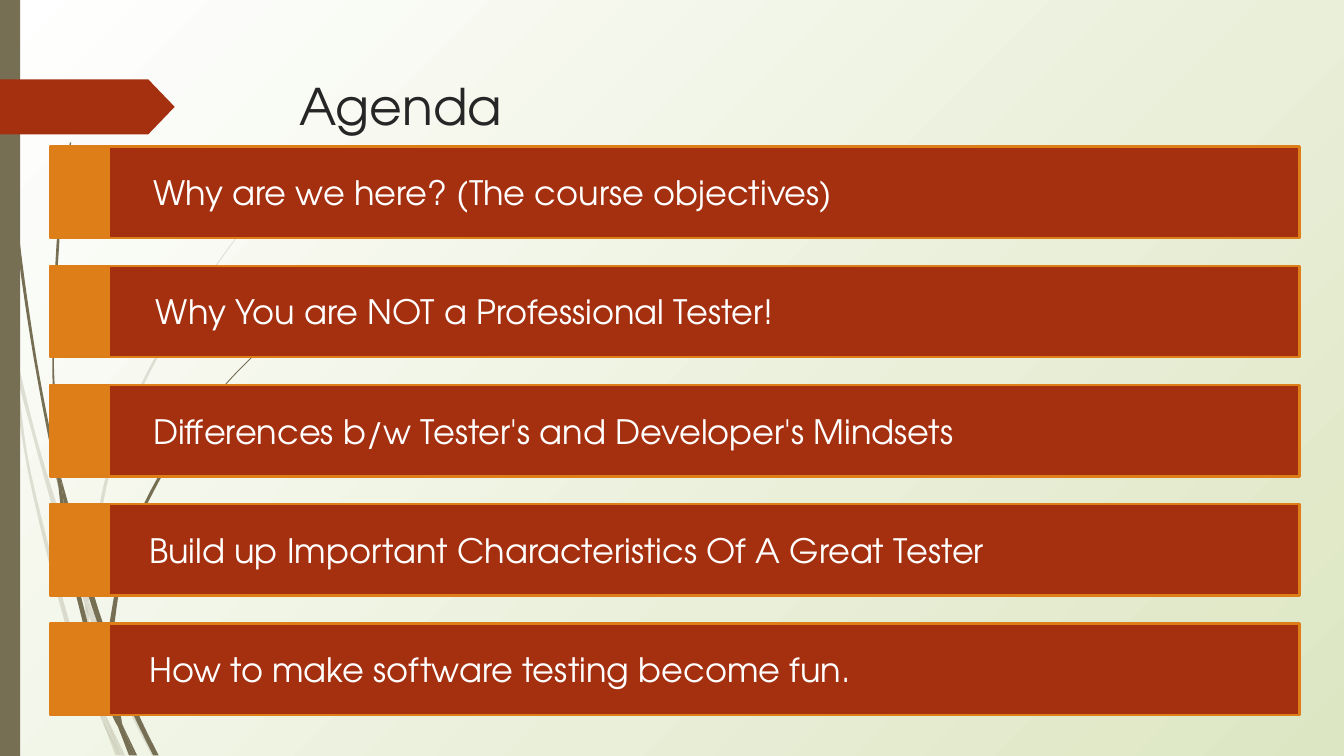
"""Build the agenda slide: five banded topics over a grass-strand backdrop."""
import lxml.etree
import pptx
import pptx.dml.color
import pptx.enum.shapes
import pptx.enum.text
import pptx.oxml.ns
import pptx.util

Inches = pptx.util.Inches
Shapes = pptx.enum.shapes.MSO_SHAPE
Anchor = pptx.enum.text.MSO_ANCHOR
qn = pptx.oxml.ns.qn

TITLE = "Agenda"
TOPICS = [
    ("Why are we here? (The course objectives)", 0.24),
    ("Why You are NOT a Professional Tester!", 0.26),
    ("Differences b/w Tester's and Developer's Mindsets", 0.24),
    ("Build up Important Characteristics Of A Great Tester", 0.21),
    ("How to make software testing become fun.", 0.21),
]

THEME = {
    "font": "TeX Gyre Adventor",
    "title_size": 27,
    "topic_size": 18,
    "title": "262626",
    "topic": "FFFFFF",
    "bar": "A53010",
    "tab": "DE7E18",
    "strand": "766F54",
    "glow": "FFFFFF",
    "field": "DDE6C3",
    "line": 1.25,
}

PALE_STRANDS = [
    ([(0, 2.11), (0.06, 2.41), (0.08, 2.63)], [(0, 2.24), (0.08, 2.58)]),
    ([(0.13, 2.82), (0.43, 3.91), (0.63, 4.49)],
     [(0.11, 2.59), (0.27, 3.25), (0.47, 3.9), (0.64, 4.4)]),
    ([(0.66, 4.58), (0.92, 5.2), (1.13, 5.62)], [(0.66, 4.47), (0.95, 5.19), (1.16, 5.62)]),
    ([(0.79, 5.33), (0.89, 5.62)], [(0.79, 5.33), (0.93, 5.62)]),
    ([(0.08, 2.63), (0.21, 3.52), (0.49, 4.66), (0.69, 5.2), (0.76, 5.36)],
     [(0.08, 2.63), (0.13, 2.82), (0.23, 3.52), (0.52, 4.64), (0.7, 5.12), (0.76, 5.36)]),
    ([(0.63, 4.49), (0.65, 4.85), (0.7, 5.12), (0.79, 5.33)],
     [(0.63, 4.49), (0.66, 4.58), (0.68, 4.84), (0.79, 5.33)]),
    ([(0.64, 4.4), (0.81, 3.46), (1.18, 2.61), (1.71, 1.83), (2.01, 1.48), (2.34, 1.15)],
     [(0.66, 4.47), (0.83, 3.47), (1.2, 2.61), (1.71, 1.84), (2.01, 1.48), (2.34, 1.15)]),
    ([(0.76, 5.36), (0.86, 5.62)], [(0.76, 5.36), (0.89, 5.62)]),
    ([(0.63, 4.49), (0.66, 4.58)], [(0.64, 4.4), (0.66, 4.47)]),
    ([(0.7, 5.12), (0.76, 5.36), (0.89, 5.62)], [(0.7, 5.12), (0.79, 5.33), (0.89, 5.62)]),
]
DARK_STRANDS = [
    ([(0.02, 0), (0.05, 0.82), (0.12, 1.75), (0.25, 2.66), (0.43, 3.61)],
     [(0.03, 0), (0.06, 0.82), (0.14, 1.74), (0.27, 2.66), (0.41, 3.4), (0.43, 3.61)]),
    ([(0.48, 3.79), (0.66, 4.44), (0.8, 4.84)], [(0.45, 3.54), (0.7, 4.43), (0.8, 4.73)]),
    ([(0.83, 4.92), (0.99, 5.31), (1.14, 5.62)], [(0.83, 4.81), (1.02, 5.29), (1.18, 5.62)]),
    ([(0.43, 3.58), (0.51, 4.18), (0.7, 4.94), (0.83, 5.31), (0.88, 5.41)],
     [(0.43, 3.58), (0.48, 3.79), (0.54, 4.17), (0.73, 4.93), (0.83, 5.19), (0.88, 5.41)]),
    ([(0.52, 1.06), (0.46, 1.45), (0.42, 1.83), (0.39, 2.62), (0.41, 3.37), (0.45, 3.54)],
     [(0.53, 1.06), (0.47, 1.45), (0.44, 1.83), (0.4, 2.62), (0.44, 3.4), (0.45, 3.54)]),
    ([(0.91, 5.39), (1, 5.62)], [(0.91, 5.39), (1.02, 5.62)]),
    ([(0.41, 3.37), (0.43, 3.58), (0.48, 3.79)], [(0.41, 3.37), (0.45, 3.54), (0.48, 3.79)]),
    ([(0.8, 4.73), (0.92, 4.13), (1.17, 3.56), (1.53, 3.04), (1.73, 2.8), (1.95, 2.58)],
     [(0.83, 4.81), (0.94, 4.14), (1.19, 3.57), (1.53, 3.05), (1.73, 2.81), (1.96, 2.58)]),
    ([(0.88, 5.41), (0.96, 5.62)], [(0.88, 5.41), (0.98, 5.62)]),
    ([(0.8, 4.84), (0.83, 5.19), (0.91, 5.39)], [(0.8, 4.84), (0.83, 4.92), (0.91, 5.39)]),
    ([(0.8, 4.73), (0.8, 4.84), (0.83, 4.92)], [(0.8, 4.73), (0.83, 4.81), (0.83, 4.92)]),
    ([(0.83, 5.19), (0.88, 5.41), (0.98, 5.62)], [(0.83, 5.19), (0.91, 5.39), (1, 5.62)]),
]

WIDTH = 10
HEIGHT = WIDTH * 9 / 16
BAR_LEFT, BAR_WIDTH, BAR_HEIGHT = 0.8, 8.87, 0.68
TAB_LEFT, TAB_WIDTH = 0.37, 0.44
FIRST_TOP, LAST_TOP = 1.09, 4.64
INSET = 0.1
CURVE_STEPS = 6


def color(name):
    return pptx.dml.color.RGBColor.from_string(THEME[name])


def apply(target, values):
    for name, value in values.items():
        setattr(target, name, value)


def paint(shape, fill, line=None):
    shape.shadow.inherit = False
    shape.fill.solid()
    shape.fill.fore_color.rgb = color(fill)
    if line:
        shape.line.color.rgb = color(line)
        shape.line.width = pptx.util.Pt(THEME["line"])
    else:
        shape.line.fill.background()


def add_block(page, kind, place, fill, line=None):
    shape = page.shapes.add_shape(kind, *map(Inches, place))
    paint(shape, fill, line)
    return shape


def write(box, text, role, anchor, left, top):
    frame = box.text_frame
    apply(frame, {
        "word_wrap": True, "vertical_anchor": anchor,
        "margin_left": Inches(left), "margin_right": Inches(INSET),
        "margin_top": Inches(top), "margin_bottom": Inches(top),
    })
    para = frame.paragraphs[0]
    para.alignment = pptx.enum.text.PP_ALIGN.LEFT
    span = para.add_run()
    span.text = text
    apply(span.font, {"name": THEME["font"], "size": pptx.util.Pt(THEME[role + "_size"])})
    span.font.color.rgb = color(role)


def smooth_edge(anchors):
    padded = [anchors[0], *anchors, anchors[-1]]
    points = [anchors[0]]
    for a, b, c, d in zip(padded, padded[1:], padded[2:], padded[3:]):
        for step in range(1, CURVE_STEPS + 1):
            t = step / CURVE_STEPS
            points.append(tuple(
                q + t * (r - p) / 2 + t * t * (p - 2.5 * q + 2 * r - s / 2)
                + t ** 3 * (1.5 * (q - r) + (s - p) / 2)
                for p, q, r, s in zip(a, b, c, d)))
    return points


def add_strand(page, edges, opacity):
    near, far = map(smooth_edge, edges)
    outline = [(Inches(x), Inches(y)) for x, y in near + far[::-1]]
    builder = page.shapes.build_freeform(*outline[0])
    builder.add_line_segments(outline[1:], close=True)
    strand = builder.convert_to_shape()
    paint(strand, "strand")
    if opacity < 100:
        tint = next(strand.element.spPr.iter(qn("a:srgbClr")))
        lxml.etree.SubElement(tint, qn("a:alpha"), val=str(opacity * 1000))


def fill_background(page):
    fill = page.background.fill
    fill.gradient()
    for stop, name, position in zip(fill.gradient_stops, ("glow", "field"), (0, 1)):
        stop.color.rgb = color(name)
        stop.position = position
    linear = next(page.element.iter(qn("a:lin")))
    radial = lxml.etree.Element(qn("a:path"), path="circle")
    lxml.etree.SubElement(radial, qn("a:fillToRect"), r="100000", b="100000")
    linear.getparent().replace(linear, radial)


def main():
    deck = pptx.Presentation()
    apply(deck, {"slide_width": Inches(WIDTH), "slide_height": Inches(HEIGHT)})
    page = deck.slides.add_slide(deck.slide_layouts[6])
    fill_background(page)
    for strands, opacity in ((PALE_STRANDS, 20), (DARK_STRANDS, 100)):
        for edges in strands:
            add_strand(page, edges, opacity)
    add_block(page, Shapes.RECTANGLE, (0, 0, 0.15, HEIGHT), "strand")
    arrow = add_block(page, Shapes.PENTAGON, (0, 0.59, 1.3, 0.41), "bar")
    arrow.adjustments[0] = 0.48

    heading = page.shapes.add_textbox(*map(Inches, (2.13, 0.51, 7.31, 1.05)))
    write(heading, TITLE, "title", Anchor.TOP, INSET, INSET / 2)

    pitch = (LAST_TOP - FIRST_TOP) / (len(TOPICS) - 1)
    for row, (topic, indent) in enumerate(TOPICS):
        top = FIRST_TOP + row * pitch
        bar = add_block(page, Shapes.RECTANGLE, (BAR_LEFT, top, BAR_WIDTH, BAR_HEIGHT), "bar", "tab")
        write(bar, topic, "topic", Anchor.MIDDLE, INSET + indent, INSET)
        add_block(page, Shapes.RECTANGLE, (TAB_LEFT, top, TAB_WIDTH, BAR_HEIGHT), "tab", "tab")
    deck.save("out.pptx")


if __name__ == "__main__":
    main()
